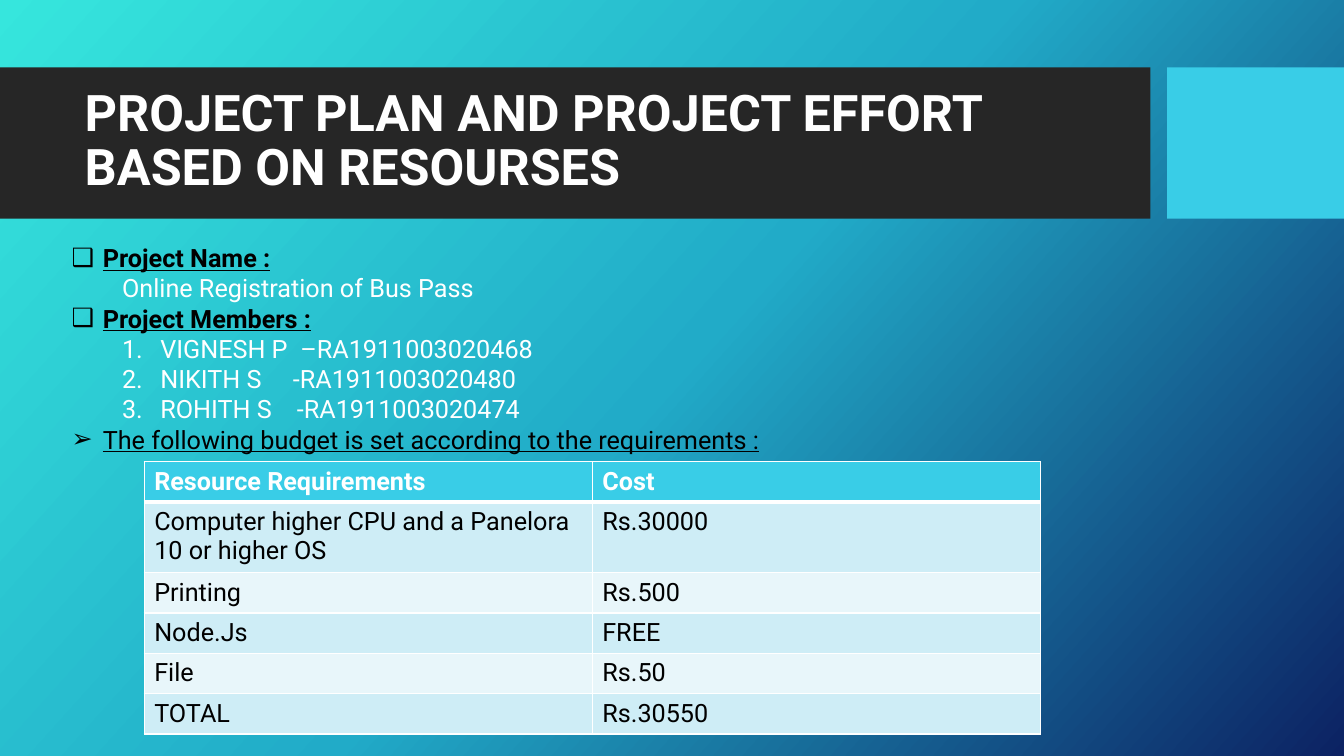
from lxml.etree import SubElement
from pptx import Presentation
from pptx.dml.color import RGBColor
from pptx.enum.shapes import MSO_SHAPE
from pptx.enum.text import MSO_ANCHOR, MSO_AUTO_SIZE, PP_ALIGN
from pptx.oxml.ns import qn
from pptx.util import Inches, Pt

COLORS = {
    "white": "FFFFFF", "black": "000000", "band": "262626", "accent": "39CDE7",
    "row_dark": "CEEDF6", "row_light": "E8F6FA",
    "bg_start": "36E6DD", "bg_mid": "21ABC8", "bg_end": "0C2263",
}
SPACE_WIDTH = 4.46
HEADING = {"color": "black", "bold": True, "underline": True}
BODY = [
    (0, 0.31, -0.31, "❑", [("Project Name :", HEADING)]),
    (1, 0.5, 0, None, [("Online Registration of Bus Pass", {})]),
    (0, 0.31, -0.31, "❑", [("Project Members :", HEADING)]),
    *[(1, 0.88, -0.38, "1.", [(name, {}), (" ", {"gap": gap}), (number, {})])
      for name, gap, number in [("VIGNESH P", 2, "–RA1911003020468"),
                                ("NIKITH S", 5, "-RA1911003020480"),
                                ("ROHITH S", 4, "-RA1911003020474")]],
    (0, 0.31, -0.31, "➢", [("The following budget is set according to the requirements :",
                            {"color": "black", "underline": True})]),
]
BUDGET = [
    ("Resource Requirements", "Cost"),
    ("Computer higher CPU and a Panelora 10 or higher OS", "Rs.30000"),
    ("Printing", "Rs.500"),
    ("Node.Js", "FREE"),
    ("File", "Rs.50"),
    ("TOTAL", "Rs.30550"),
]


def rgb(name):
    return RGBColor.from_string(COLORS[name])


class Deck:
    """Holds the style and current slide; lengths are percentages of the slide size."""

    font = "Roboto"
    size = 18

    def __init__(self):
        self.prs = Presentation()
        self.prs.slide_width, self.prs.slide_height = Inches(13.333), Inches(7.5)
        self.s = self.prs.slides.add_slide(self.prs.slide_layouts[1])

    def x(self, share):
        return round(self.prs.slide_width * share / 100)

    def y(self, share):
        return round(self.prs.slide_height * share / 100)

    def box(self, left, top, width, height):
        return self.x(left), self.y(top), self.x(width), self.y(height)

    def place(self, sp, *box):
        sp.left, sp.top, sp.width, sp.height = self.box(*box)

    def run(self, p, text, color="white", size=None, bold=False, underline=False, gap=1):
        r = p.add_run()
        r.text = text
        r.font.name, r.font.size = self.font, Pt(size or self.size)
        r.font.bold, r.font.underline = bold, underline
        r.font.color.rgb = rgb(color)
        if gap > 1:
            r.font._element.set("spc", str(round((gap - 1) * SPACE_WIDTH * 100)))

    def background(self, names, angle):
        fill = self.s.background.fill
        fill.gradient()
        grad = self.s.background._cSld.find(".//" + qn("a:gradFill"))
        stops = grad.find(qn("a:gsLst"))
        for stop in list(stops):
            stops.remove(stop)
        for i, name in enumerate(names):
            stop = SubElement(stops, qn("a:gs"), pos=str(100000 * i // (len(names) - 1)))
            SubElement(stop, qn("a:srgbClr"), val=COLORS[name])
        grad.find(qn("a:lin")).set("ang", str(angle * 60000))

    def band(self, color, *box):
        sp = self.s.shapes.add_shape(MSO_SHAPE.RECTANGLE, *self.box(*box))
        sp.shadow.inherit = False
        sp.fill.solid()
        sp.fill.fore_color.rgb = rgb(color)
        sp.line.fill.background()
        self.s.shapes.title._element.addprevious(sp._element)

    def title(self, text, *box):
        sp = self.s.shapes.title
        self.place(sp, *box)
        tf = sp.text_frame
        tf.word_wrap, tf.auto_size = True, MSO_AUTO_SIZE.NONE
        tf.vertical_anchor = MSO_ANCHOR.MIDDLE
        p = tf.paragraphs[0]
        p.alignment, p.line_spacing = PP_ALIGN.LEFT, 0.9
        self.run(p, text, size=36, bold=True)

    def body(self, items, *box):
        sp = self.s.placeholders[1]
        self.place(sp, *box)
        tf = sp.text_frame
        tf.word_wrap, tf.auto_size = True, MSO_AUTO_SIZE.SHAPE_TO_FIT_TEXT
        tf.vertical_anchor = MSO_ANCHOR.TOP
        for i, (level, margin, indent, bullet, runs) in enumerate(items):
            p = tf.add_paragraph() if i else tf.paragraphs[0]
            p.level, p.alignment = level, PP_ALIGN.LEFT
            p.space_before = p.space_after = Pt(0)
            p.line_spacing = Pt(21.6)
            self.bullet(p, margin, indent, bullet)
            for text, style in runs:
                self.run(p, text, **style)

    def bullet(self, p, margin, indent, mark):
        props = p._p.get_or_add_pPr()
        props.set("marL", str(Inches(margin)))
        props.set("indent", str(Inches(indent)))
        if mark is None:
            SubElement(props, qn("a:buNone"))
        elif mark == "1.":
            SubElement(props, qn("a:buAutoNum"), type="arabicPeriod")
        else:
            SubElement(props, qn("a:buChar"), char=mark)

    def table(self, rows, heights, *box):
        shape = self.s.shapes.add_table(len(rows), len(rows[0]), *self.box(*box))
        table = shape.table
        table.horz_banding = False
        for i, (row, height) in enumerate(zip(rows, heights)):
            table.rows[i].height = self.y(height)
            fill = ("row_light", "row_dark")[i % 2] if i else "accent"
            for j, text in enumerate(row):
                cell = table.cell(i, j)
                p = cell.text_frame.paragraphs[0]
                self.run(p, text, "black" if i else "white", bold=i == 0)
                self.borders(cell, top=3 if i == 1 else 1, bottom=1 if i else 3)
                cell.fill.solid()
                cell.fill.fore_color.rgb = rgb(fill)

    def borders(self, cell, top, bottom):
        props = cell._tc.get_or_add_tcPr()
        for side, width in (("L", 1), ("R", 1), ("T", top), ("B", bottom)):
            line = SubElement(props, qn(f"a:ln{side}"), w=str(Pt(width)))
            fill = SubElement(line, qn("a:solidFill"))
            SubElement(fill, qn("a:srgbClr"), val=COLORS["white"])


def main():
    deck = Deck()
    deck.background(["bg_start", "bg_mid", "bg_end"], 42)
    deck.band("band", 0, 8.93, 85.6, 20)
    deck.band("accent", 86.85, 8.93, 13.15, 20)
    deck.title("PROJECT PLAN AND PROJECT EFFORT BASED ON RESOURSES",
               5.55, 10.93, 78.83, 15.73)
    deck.body(BODY, 4.58, 31.4, 87.23, 29.6)
    deck.table(BUDGET, [5.33, 9.33] + [5.33] * 4, 10.73, 61.07, 66.68, 36)
    deck.prs.save("out.pptx")


if __name__ == "__main__":
    main()
